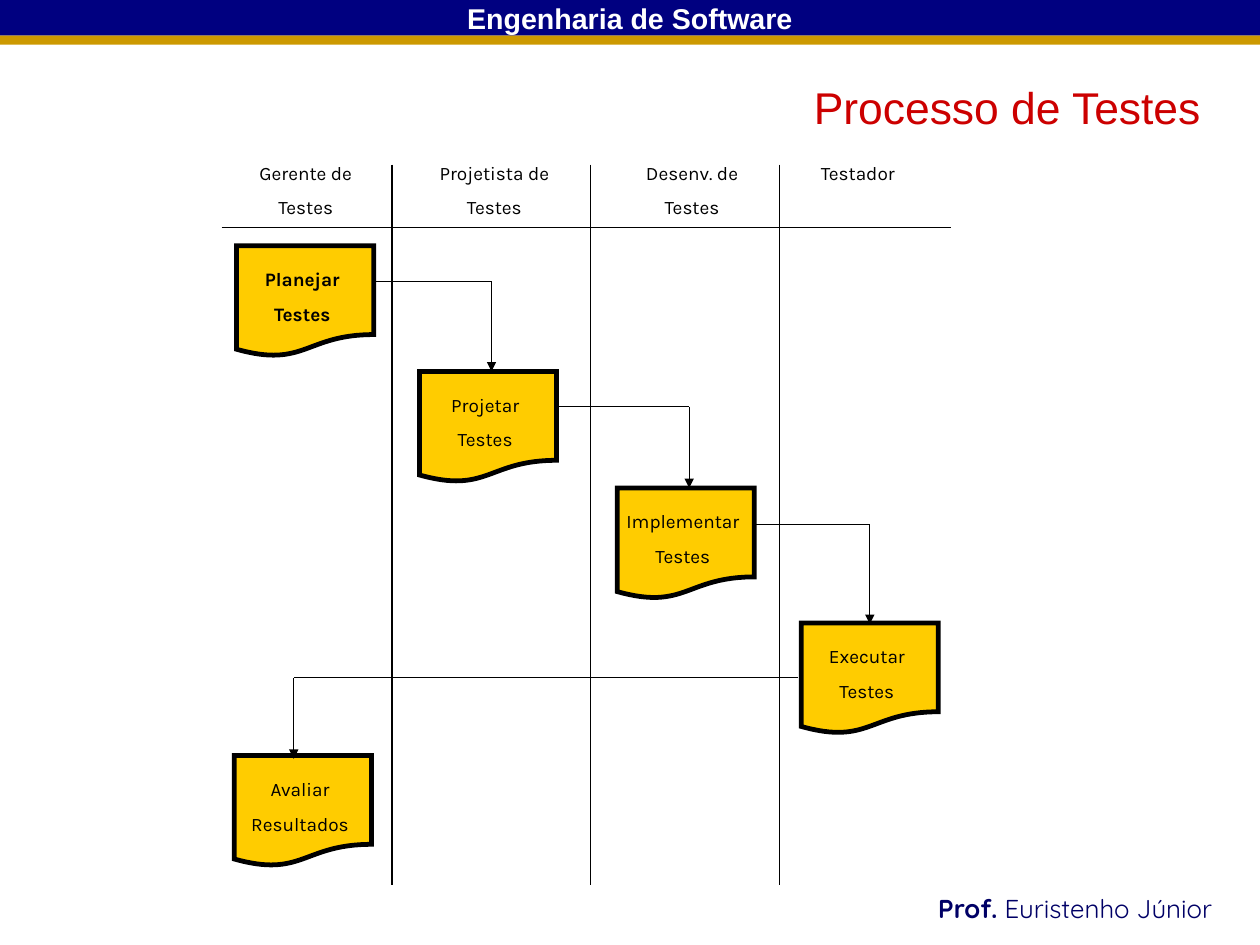
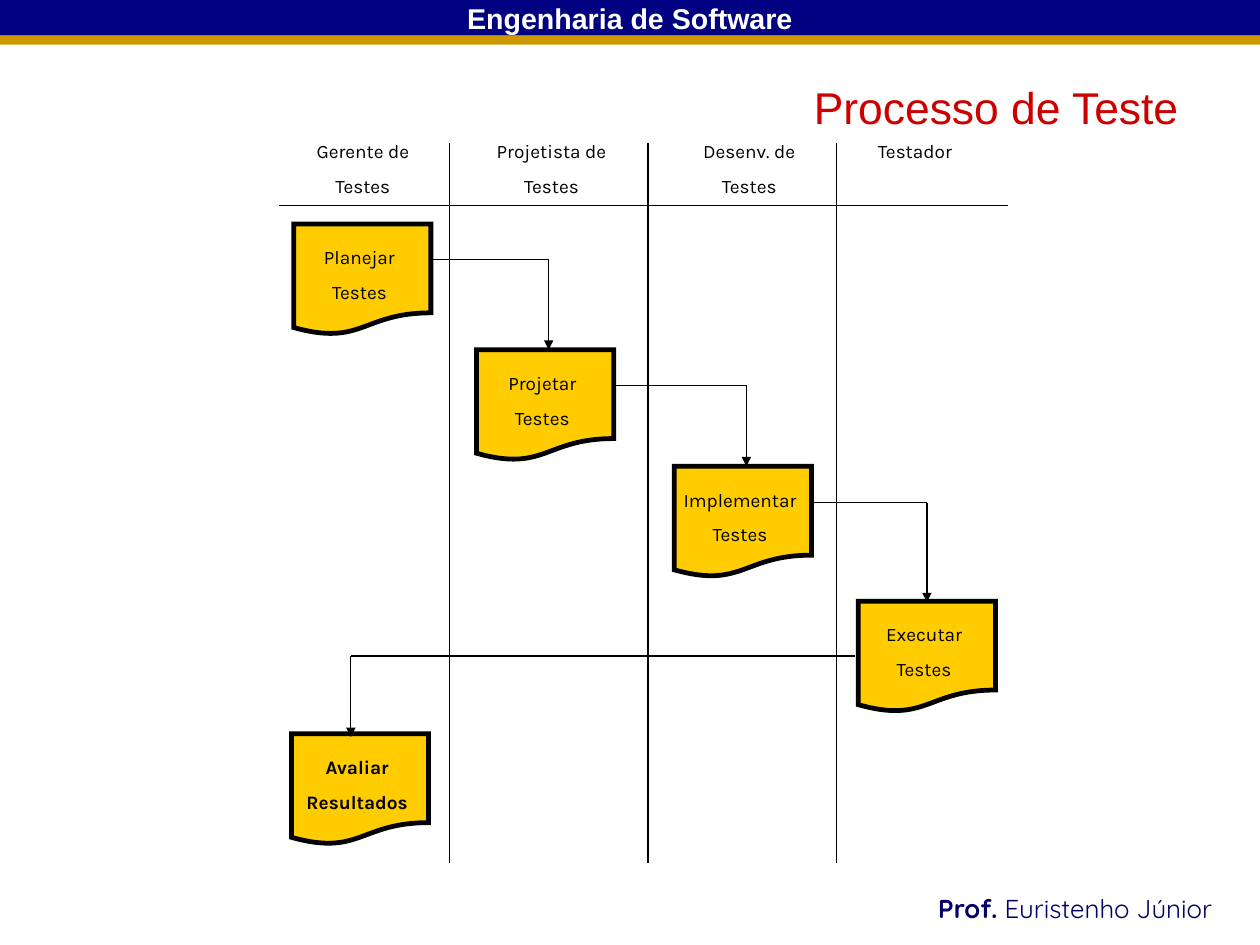
from typing import NamedTuple

from lxml.etree import SubElement
from pptx import Presentation
from pptx.dml.color import RGBColor
from pptx.enum.shapes import MSO_CONNECTOR, MSO_SHAPE
from pptx.enum.text import MSO_ANCHOR, MSO_AUTO_SIZE, PP_ALIGN
from pptx.oxml.ns import qn
from pptx.util import Inches, Pt

WIDE, HIGH = 28 / 2.54, 21 / 2.54
NAVY, GOLD, INK = "000080", "CC9900", "000066"
RED, AMBER, BLACK, WHITE = "CC0000", "FFCC00", "000000", "FFFFFF"
HEAD, BODY, FOOT = "Arial", "Karla", "Quicksand"


class Step(NamedTuple):
    """A document box of the process."""
    text: str
    left: float
    top: float


class Lane(NamedTuple):
    """A column heading."""
    text: str
    left: float


class Bend(NamedTuple):
    """An arrow that runs across and then down."""
    left: float
    top: float
    turn: float
    tip: float


class Page(NamedTuple):
    """A slide: its title, its bold step and the chart's shift."""
    title: str
    bold: str
    right: float
    down: float


STEPS = [
    Step("Planejar\nTestes", 2.07, 2.15),
    Step("Projetar\nTestes", 3.67, 3.25),
    Step("Implementar\nTestes", 5.4, 4.27),
    Step("Executar\nTestes", 7.01, 5.45),
    Step("Avaliar\nResultados", 2.05, 6.61),
]
LANES = [
    Lane("Gerente de\nTestes", 2.02),
    Lane("Projetista de\nTestes", 3.67),
    Lane("Desenv. de\nTestes", 5.4),
    Lane("Testador", 6.85),
]
RULES = [3.43, 5.17, 6.82]
BENDS = [
    Bend(3.28, 2.46, 4.3, 3.25),
    Bend(4.85, 3.56, 6.03, 4.27),
    Bend(6.58, 4.59, 7.61, 5.46),
    Bend(6.98, 5.93, 2.57, 6.64),
]
PAGES = [
    Page("Processo de Testes", STEPS[0].text, 0, 0),
    Page("Processo de Teste", STEPS[-1].text, 0.5, -0.19),
]


def tint(code: str) -> RGBColor:
    """Turn a hex string into a colour."""
    return RGBColor.from_string(code)


def write(frame, text: str, *, size: float = 12, font: str = BODY,
          color: str = BLACK, bold: bool = False,
          align=PP_ALIGN.CENTER, gap: float = 7.5) -> None:
    """Add text to a frame's last paragraph, one more for each new line."""
    for row, line in enumerate(text.split("\n")):
        para = frame.add_paragraph() if row else frame.paragraphs[-1]
        para.alignment = align
        if row:
            para.space_before = Pt(gap)
        run = para.add_run()
        run.text = line
        run.font.size = Pt(size)
        run.font.name = font
        run.font.bold = bold
        run.font.color.rgb = tint(color)


def label(slide, left: float, top: float, width: float, height: float):
    """Add a wrapping text box and return its frame."""
    box = slide.shapes.add_textbox(
        Inches(left), Inches(top), Inches(width), Inches(height))
    box.text_frame.word_wrap = True
    return box.text_frame


def block(slide, kind, left: float, top: float, width: float,
          height: float, fill: str, edge: float = 0):
    """Add a filled shape, with a sharp black outline if it has an edge."""
    shape = slide.shapes.add_shape(
        kind, Inches(left), Inches(top), Inches(width), Inches(height))
    shape.shadow.inherit = False
    shape.fill.solid()
    shape.fill.fore_color.rgb = tint(fill)
    if edge:
        shape.line.color.rgb = tint(BLACK)
        shape.line.width = Pt(edge)
        outline = shape.element.spPr.find(qn("a:ln"))
        SubElement(outline, qn("a:miter"), lim="800000")
    else:
        shape.line.fill.background()
    return shape


def rule(slide, left: float, top: float, right: float, low: float,
         arrow: bool = False) -> None:
    """Draw a thin straight line, with an arrowhead if asked."""
    line = slide.shapes.add_connector(
        MSO_CONNECTOR.STRAIGHT, Inches(left), Inches(top),
        Inches(right), Inches(low))
    line.line.color.rgb = tint(BLACK)
    line.line.width = Pt(0.75)
    props = line.element.spPr
    if arrow:
        SubElement(props.find(qn("a:ln")), qn("a:tailEnd"), type="triangle")
    SubElement(props, qn("a:effectLst"))


def dress(slide, title: str) -> None:
    """Draw the bands, the title and the footer."""
    block(slide, MSO_SHAPE.RECTANGLE, 0, 0.31, WIDE, 0.08, GOLD)
    band = block(slide, MSO_SHAPE.RECTANGLE, 0, 0, WIDE, 0.31, NAVY)
    band.text_frame.vertical_anchor = MSO_ANCHOR.MIDDLE
    write(band.text_frame, "Engenharia de Software", size=18, font=HEAD,
          color=WHITE, bold=True)

    head = slide.shapes.title
    head.left, head.top = Inches(7.02), Inches(0.63)
    head.width, head.height = Inches(3.84), Inches(0.63)
    body = head.text_frame
    body.word_wrap = False
    body.auto_size = MSO_AUTO_SIZE.NONE
    body.vertical_anchor = MSO_ANCHOR.TOP
    body.margin_top = Inches(0.07)
    write(body, title, size=28, font=HEAD, color=RED, align=PP_ALIGN.LEFT)

    foot = label(slide, 8.11, 7.76, 2.91, 0.41)
    for text, bold in (("Prof.", True), (" Euristenho Júnior", False)):
        write(foot, text, size=16.3, font=FOOT, color=INK, bold=bold,
              align=PP_ALIGN.LEFT)


def chart(slide, page: Page) -> None:
    """Draw the steps, lanes and arrows at the page's shift."""
    dx, dy = page.right, page.down
    for step in STEPS:
        box = block(slide, MSO_SHAPE.FLOWCHART_DOCUMENT, step.left + dx,
                    step.top + dy, 1.2, 0.97, AMBER, edge=3)
        body = box.text_frame
        body.word_wrap = True
        body.vertical_anchor = MSO_ANCHOR.TOP
        body.margin_left, body.margin_right = Inches(0.02), Inches(0.07)
        body.margin_top, body.margin_bottom = Inches(0.19), Inches(0)
        write(body, step.text, bold=step.text == page.bold)
    for left in RULES:
        rule(slide, left + dx, 1.44 + dy, left + dx, 7.74 + dy)
    rule(slide, 1.94 + dx, 1.99 + dy, 8.32 + dx, 1.99 + dy)
    for lane in LANES:
        write(label(slide, lane.left + dx, 1.36 + dy, 1.31, 0.61), lane.text)
    for bend in BENDS:
        turn, top = bend.turn + dx, bend.top + dy
        rule(slide, bend.left + dx, top, turn, top)
        rule(slide, turn, top, turn, bend.tip + dy, arrow=True)


def main() -> None:
    """Build and save the slides."""
    deck = Presentation()
    deck.slide_width, deck.slide_height = Inches(WIDE), Inches(HIGH)
    for page in PAGES:
        slide = deck.slides.add_slide(deck.slide_layouts[5])
        dress(slide, page.title)
        chart(slide, page)
    deck.save("out.pptx")


if __name__ == "__main__":
    main()
